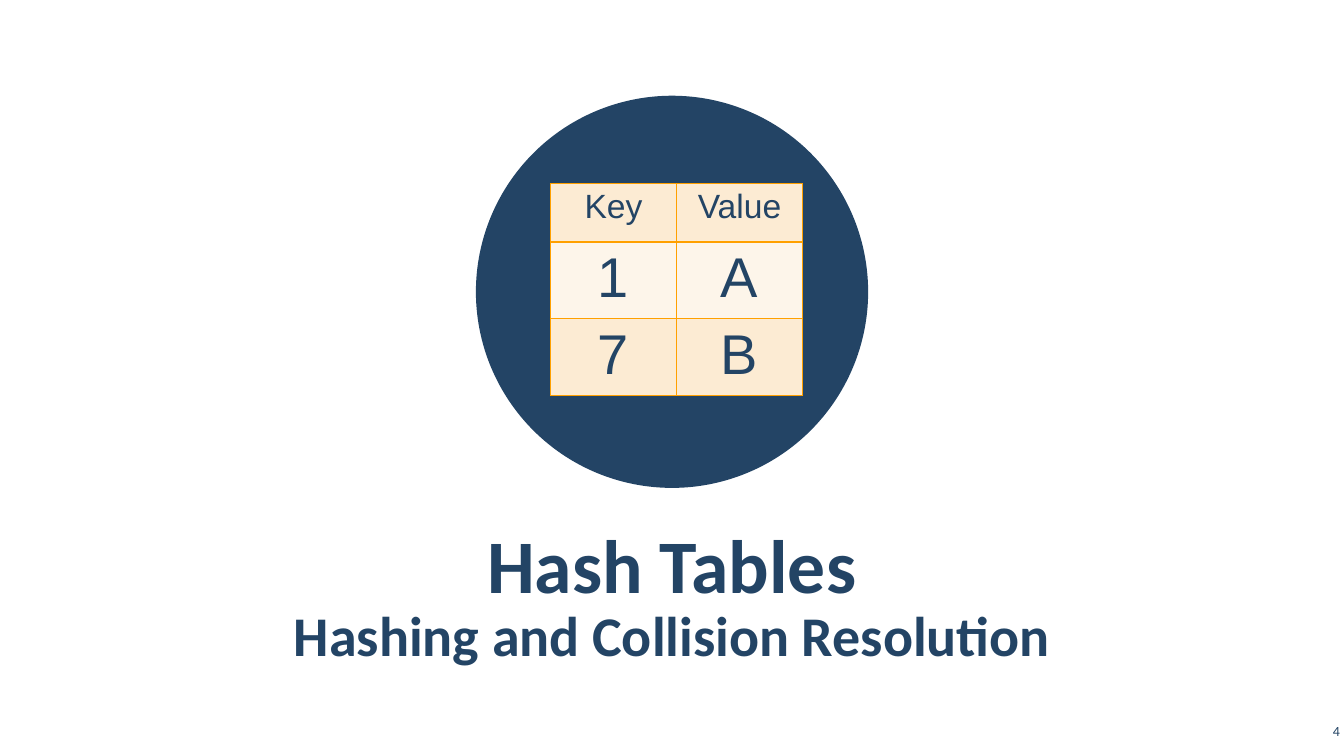
from lxml.etree import SubElement
from pptx import Presentation
from pptx.dml.color import RGBColor
from pptx.enum.shapes import MSO_SHAPE
from pptx.enum.text import MSO_ANCHOR, MSO_AUTO_SIZE, PP_ALIGN
from pptx.oxml.ns import qn
from pptx.util import Pt

EMU_PER_PX = 9144
NAVY = "234465"
AMBER = "FFA000"
CREAM = "FCEBD3"
PALE = "FDF5EA"


def px(n):
    return n * EMU_PER_PX


def rgb(color):
    return RGBColor.from_string(color)


def set_font(p, size, name, bold=False):
    p.font.size = Pt(size)
    p.font.name = name
    p.font.bold = bold
    p.font.color.rgb = rgb(NAVY)


def place(sp, left, top, width, height):
    sp.left, sp.top, sp.width, sp.height = map(px, (left, top, width, height))


def write_text(sp, text, size, align, margin, bold=False, spacing=None):
    tf = sp.text_frame
    tf.word_wrap = True
    tf.auto_size = MSO_AUTO_SIZE.NONE
    tf.vertical_anchor = MSO_ANCHOR.MIDDLE
    tf.margin_left = tf.margin_right = px(margin)
    tf.margin_top = tf.margin_bottom = px(4)
    p = tf.paragraphs[0]
    p.text = text
    p.alignment = align
    p.line_spacing = spacing
    set_font(p, size, "Calibri", bold)


def add_disc(s, left, top, size):
    sp = s.shapes.add_shape(MSO_SHAPE.OVAL, px(left), px(top), px(size), px(size))
    sp.shadow.inherit = False
    sp.fill.solid()
    sp.fill.fore_color.rgb = rgb(NAVY)
    sp.line.fill.background()


def add_text(s, box, text, size, align, margin, **style):
    sp = s.shapes.add_textbox(*map(px, box))
    write_text(sp, text, size, align, margin, **style)


def set_borders(cell):
    tcPr = cell._tc.get_or_add_tcPr()
    for i, side in enumerate(("a:lnL", "a:lnR", "a:lnT", "a:lnB")):
        ln = tcPr.makeelement(qn(side), {"w": str(Pt(1))})
        fill = SubElement(ln, qn("a:solidFill"))
        SubElement(fill, qn("a:srgbClr"), val=AMBER)
        tcPr.insert(i, ln)


def add_key_value_table(s, left, top, rows, heights, col_width):
    cols = len(rows[0])
    frame = s.shapes.add_table(len(rows), cols, px(left), px(top),
                               px(col_width * cols), px(sum(heights)))
    table = frame.table
    table.first_row = table.horz_banding = False
    for col in table.columns:
        col.width = px(col_width)
    for i, (texts, height) in enumerate(zip(rows, heights)):
        table.rows[i].height = px(height)
        for j, text in enumerate(texts):
            cell = table.cell(i, j)
            cell.fill.solid()
            cell.fill.fore_color.rgb = rgb(PALE if i % 2 else CREAM)
            set_borders(cell)
            p = cell.text_frame.paragraphs[0]
            p.text = text
            p.alignment = PP_ALIGN.CENTER
            set_font(p, 40 if i else 24, "Arial")


def main():
    prs = Presentation()
    prs.slide_width, prs.slide_height = px(1333), px(750)
    s = prs.slides.add_slide(prs.slide_layouts[5])
    add_disc(s, 472, 95, 389)
    title = s.shapes.title
    place(title, 67, 515, 1199, 84)
    write_text(title, "Hash Tables", 54, PP_ALIGN.CENTER, 12, bold=True, spacing=1.05)
    add_text(s, (67, 600, 1199, 55), "Hashing and Collision Resolution", 40,
             PP_ALIGN.CENTER, 12, bold=True, spacing=1.05)
    add_text(s, (1286, 714, 47, 22), "4", 10, PP_ALIGN.RIGHT, 4)
    add_key_value_table(s, 546, 182, [("Key", "Value"), ("1", "A"), ("7", "B")],
                        (58, 76, 76), 125)
    prs.save("out.pptx")


if __name__ == "__main__":
    main()
